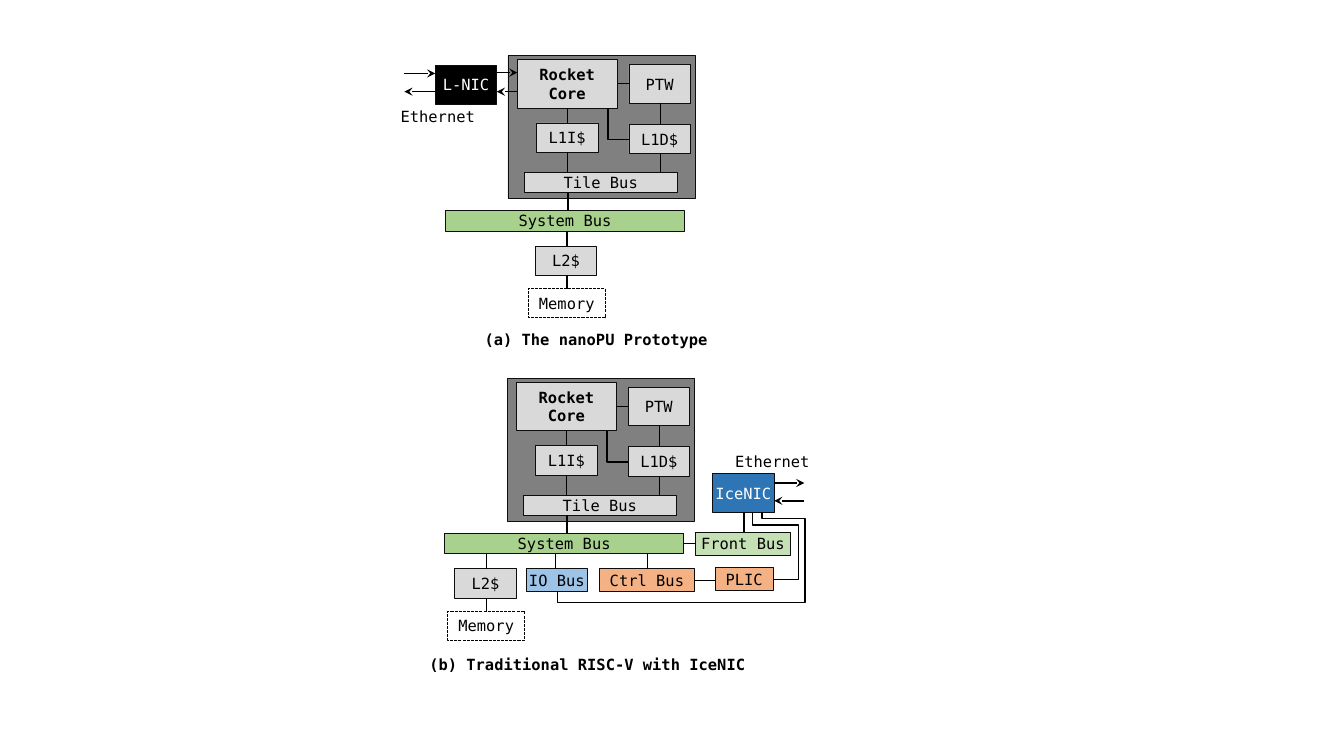
from dataclasses import dataclass
from typing import Optional

from lxml.etree import SubElement
from pptx import Presentation
from pptx.dml.color import RGBColor
from pptx.enum.dml import MSO_LINE
from pptx.enum.shapes import MSO_CONNECTOR, MSO_SHAPE
from pptx.enum.text import MSO_ANCHOR, PP_ALIGN
from pptx.oxml.ns import qn
from pptx.util import Cm, Pt

BLACK = RGBColor(0x00, 0x00, 0x00)
WHITE = RGBColor(0xFF, 0xFF, 0xFF)
OUTLINE = RGBColor(0x0D, 0x0D, 0x0D)
TILE_GRAY = RGBColor(0x80, 0x80, 0x80)
BLOCK_GRAY = RGBColor(0xD9, 0xD9, 0xD9)
SYSTEM_GREEN = RGBColor(0xA9, 0xD1, 0x8E)
FRONT_GREEN = RGBColor(0xC5, 0xE0, 0xB4)
IO_BLUE = RGBColor(0x9D, 0xC3, 0xE6)
NIC_BLUE = RGBColor(0x2E, 0x75, 0xB6)
CONTROL_ORANGE = RGBColor(0xF4, 0xB1, 0x83)
FONT = "DejaVu Sans Mono"
FONT_SIZE = Pt(11)


@dataclass(frozen=True)
class Block:
    text: str
    left: float
    top: float
    width: float
    height: float
    fill: Optional[RGBColor] = BLOCK_GRAY
    color: RGBColor = BLACK
    bold: bool = False
    dashed: bool = False


@dataclass(frozen=True)
class Label:
    text: str
    left: float
    top: float
    width: float
    bold: bool = False


@dataclass(frozen=True)
class Wire:
    points: tuple
    arrow: bool = False


TILE_BLOCKS = [
    Block("", 0, 0, 4.72, 3.61, TILE_GRAY),
    Block("PTW", 3.05, 0.23, 1.55, 0.97),
    Block("L1I$", 0.72, 1.7, 1.55, 0.74),
    Block("L1D$", 3.05, 1.73, 1.55, 0.74),
    Block("Tile Bus", 0.42, 2.95, 3.84, 0.51),
    Block("Rocket\nCore", 0.24, 0.1, 2.51, 1.22, bold=True),
    Block("System Bus", -1.57, 3.91, 6.02, 0.51, SYSTEM_GREEN),
]
TILE_WIRES = [
    Wire(((1.5, 1.32), (1.5, 1.7))),
    Wire(((1.5, 2.44), (1.5, 2.95))),
    Wire(((3.84, 1.2), (3.84, 1.73))),
    Wire(((3.84, 2.47), (3.84, 2.95))),
    Wire(((2.75, 0.71), (3.05, 0.71))),
    Wire(((2.52, 1.32), (2.52, 2.11), (3.05, 2.11))),
    Wire(((1.51, 3.46), (1.51, 3.91))),
]
MEMORY_BLOCKS = [
    Block("L2$", 0, 0, 1.55, 0.74),
    Block("Memory", -0.17, 1.07, 1.93, 0.74, None, dashed=True),
]
MEMORY_WIRES = [
    Wire(((0.8, -0.38), (0.8, 0))),
    Wire(((0.8, 0.74), (0.8, 1.07))),
]
PROTOTYPE_BLOCKS = [Block("L-NIC", 10.97, 1.65, 1.55, 0.97, BLACK, WHITE)]
PROTOTYPE_WIRES = [
    Wire(((10.19, 1.85), (10.97, 1.85)), True),
    Wire(((10.97, 2.31), (10.19, 2.31)), True),
    Wire(((12.52, 1.83), (13.04, 1.83)), True),
    Wire(((13.04, 2.31), (12.52, 2.31)), True),
]
TRADITIONAL_BLOCKS = [
    Block("IO Bus", 13.26, 14.33, 1.55, 0.58, IO_BLUE),
    Block("Ctrl Bus", 15.11, 14.33, 2.39, 0.58, CONTROL_ORANGE),
    Block("Front Bus", 17.53, 13.41, 2.39, 0.58, FRONT_GREEN),
    Block("PLIC", 18.03, 14.3, 1.45, 0.58, CONTROL_ORANGE),
    Block("IceNIC", 17.96, 11.94, 1.55, 0.97, NIC_BLUE, WHITE),
]
TRADITIONAL_WIRES = [
    Wire(((17.23, 13.69), (17.53, 13.69))),
    Wire(((14, 13.95), (14, 14.33))),
    Wire(((16.31, 13.95), (16.31, 14.33))),
    Wire(((18.75, 12.91), (18.75, 13.41))),
    Wire(((18.03, 14.63), (17.5, 14.63))),
    Wire(((19.51, 12.17), (20.27, 12.17)), True),
    Wire(((20.27, 12.62), (19.51, 12.62)), True),
    Wire(((18.97, 12.91), (18.97, 13.23), (20.12, 13.23), (20.12, 14.61), (19.48, 14.61))),
    Wire(((14.05, 14.91), (14.05, 15.18), (20.29, 15.18), (20.29, 13.06),
          (19.2, 13.06), (19.2, 12.91))),
]
LABELS = [
    Label("Ethernet", 9.83, 2.57, 2.41),
    Label("Ethernet", 18.26, 11.25, 2.41),
    Label("(a) The nanoPU Prototype", 11.94, 8.18, 6.17, True),
    Label("(b) Traditional RISC-V with IceNIC", 10.54, 16.36, 8.53, True),
]


def write_text(shape, text: str, color: RGBColor, bold: bool) -> None:
    frame = shape.text_frame
    frame.word_wrap = False
    frame.vertical_anchor = MSO_ANCHOR.MIDDLE
    frame.margin_left = frame.margin_right = frame.margin_top = frame.margin_bottom = 0
    for index, line in enumerate(text.split("\n")):
        paragraph = frame.add_paragraph() if index else frame.paragraphs[0]
        paragraph.alignment = PP_ALIGN.CENTER
        run = paragraph.add_run()
        run.text = line
        run.font.name = FONT
        run.font.size = FONT_SIZE
        run.font.bold = bold
        run.font.color.rgb = color


def draw_block(slide, block: Block, left: float, top: float) -> None:
    shape = slide.shapes.add_shape(
        MSO_SHAPE.RECTANGLE, Cm(left + block.left), Cm(top + block.top),
        Cm(block.width), Cm(block.height))
    shape.shadow.inherit = False
    if block.fill is None:
        shape.fill.background()
    else:
        shape.fill.solid()
        shape.fill.fore_color.rgb = block.fill
    shape.line.color.rgb = OUTLINE
    shape.line.width = Pt(0.5)
    if block.dashed:
        shape.line.color.rgb = BLACK
        shape.line.width = Pt(0.75)
        shape.line.dash_style = MSO_LINE.SQUARE_DOT
    if block.text:
        write_text(shape, block.text, block.color, block.bold)


def draw_wire(slide, wire: Wire, left: float, top: float) -> None:
    start, *others = [(Cm(left + x), Cm(top + y)) for x, y in wire.points]
    if len(others) == 1:
        shape = slide.shapes.add_connector(MSO_CONNECTOR.STRAIGHT, *start, *others[0])
        SubElement(shape.line._get_or_add_ln().getparent(), qn("a:effectLst"))
    else:
        builder = slide.shapes.build_freeform(*start)
        builder.add_line_segments(others, close=False)
        shape = builder.convert_to_shape()
        shape.shadow.inherit = False
        shape.fill.background()
    shape.line.color.rgb = BLACK
    shape.line.width = Pt(1)
    if wire.arrow:
        SubElement(shape.line._get_or_add_ln(), qn("a:tailEnd"), type="stealth")


def draw_group(slide, blocks: list[Block], wires: list[Wire],
               left: float = 0, top: float = 0) -> None:
    for block in blocks:
        draw_block(slide, block, left, top)
    for wire in wires:
        draw_wire(slide, wire, left, top)


def draw_label(slide, label: Label) -> None:
    shape = slide.shapes.add_textbox(
        Cm(label.left), Cm(label.top), Cm(label.width), Cm(0.74))
    write_text(shape, label.text, BLACK, label.bold)


def main() -> None:
    presentation = Presentation()
    presentation.slide_width = Cm(33.87)
    presentation.slide_height = Cm(19.05)
    slide = presentation.slides.add_slide(presentation.slide_layouts[6])
    for left, top in ((12.8, 1.4), (12.78, 9.53)):
        draw_group(slide, TILE_BLOCKS, TILE_WIRES, left, top)
    for left, top in ((13.49, 6.2), (11.46, 14.33)):
        draw_group(slide, MEMORY_BLOCKS, MEMORY_WIRES, left, top)
    draw_group(slide, PROTOTYPE_BLOCKS, PROTOTYPE_WIRES)
    draw_group(slide, TRADITIONAL_BLOCKS, TRADITIONAL_WIRES)
    for label in LABELS:
        draw_label(slide, label)
    presentation.save("out.pptx")


if __name__ == "__main__":
    main()
